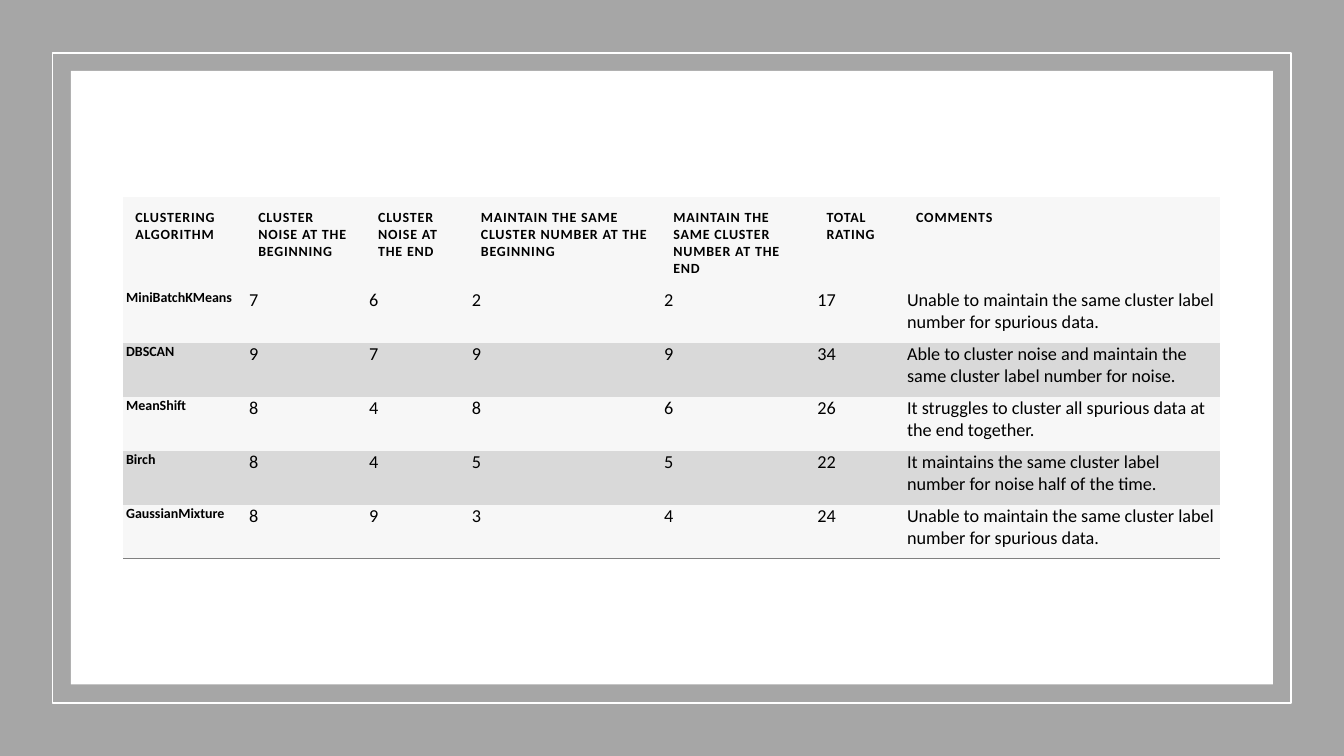
from lxml import etree
from pptx import Presentation
from pptx.dml.color import RGBColor
from pptx.enum.shapes import MSO_SHAPE
from pptx.oxml.ns import qn
from pptx.util import Cm, Pt

RECTANGLE = MSO_SHAPE.RECTANGLE
BLACK = RGBColor(0x00, 0x00, 0x00)
WHITE = RGBColor(0xFF, 0xFF, 0xFF)
BACKDROP_GRAY = RGBColor(0xA6, 0xA6, 0xA6)
LIGHT_ROW = RGBColor(0xF7, 0xF7, 0xF7)
DARK_ROW = RGBColor(0xD9, 0xD9, 0xD9)
RULE_GRAY = RGBColor(0x80, 0x80, 0x80)
PLAIN_TABLE_STYLE = "{2D5ABB26-0587-4C30-8999-92F81FD0307C}"

HEADER_MARGINS = {
    "margin_left": Cm(0.3), "margin_top": Cm(0.3),
    "margin_right": Cm(0.3), "margin_bottom": Cm(0.3),
}
BODY_MARGINS = {
    "margin_left": Cm(0.07), "margin_top": Cm(0),
    "margin_right": Cm(0.07), "margin_bottom": Cm(0.2),
}
LABEL_FONT = {"name": "Calibri", "size": Pt(10), "bold": True}
VALUE_FONT = {"name": "Calibri", "size": Pt(13), "bold": False}

COLUMN_WIDTHS = [3.1, 3.02, 2.59, 4.85, 3.86, 2.26, 7.95]
HEADER_HEIGHT = 2.31
BODY_HEIGHT = 1.36
RATINGS = [
    ["CLUSTERING ALGORITHM", "CLUSTER NOISE AT THE BEGINNING", "CLUSTER NOISE AT THE END",
     "MAINTAIN THE SAME CLUSTER NUMBER AT THE BEGINNING",
     "MAINTAIN THE SAME CLUSTER NUMBER AT THE END", "TOTAL RATING", "COMMENTS"],
    ["MiniBatchKMeans", "7", "6", "2", "2", "17",
     "Unable to maintain the same cluster label number for spurious data."],
    ["DBSCAN", "9", "7", "9", "9", "34",
     "Able to cluster noise and maintain the same cluster label number for noise."],
    ["MeanShift", "8", "4", "8", "6", "26",
     "It struggles to cluster all spurious data at the end together."],
    ["Birch", "8", "4", "5", "5", "22",
     "It maintains the same cluster label number for noise half of the time."],
    ["GaussianMixture", "8", "9", "3", "4", "24",
     "Unable to maintain the same cluster label number for spurious data."],
]


def set_values(target, values):
    for name, value in values.items():
        setattr(target, name, value)


def add_bottom_rule(cell):
    properties = cell._tc.get_or_add_tcPr()
    rule = etree.Element(qn("a:lnB"), w=str(Pt(1)))
    fill = etree.SubElement(rule, qn("a:solidFill"))
    etree.SubElement(fill, qn("a:srgbClr"), val=str(RULE_GRAY))
    properties.insert(0, rule)


deck = Presentation()
deck.slide_width = Cm(33.87)
deck.slide_height = Cm(19.05)
page = deck.slides.add_slide(deck.slide_layouts[6])

panels = [
    (0, 0, 33.87, 19.05, BACKDROP_GRAY, None),
    (1.32, 1.34, 31.22, 16.38, None, WHITE),
    (1.79, 1.79, 30.29, 15.46, WHITE, None),
]
for left, top, width, height, fill_color, line_color in panels:
    panel = page.shapes.add_shape(RECTANGLE, Cm(left), Cm(top), Cm(width), Cm(height))
    panel.shadow.inherit = False
    if fill_color is None:
        panel.fill.background()
    else:
        panel.fill.solid()
        panel.fill.fore_color.rgb = fill_color
    if line_color is None:
        panel.line.fill.background()
    else:
        panel.line.color.rgb = line_color
        panel.line.width = Pt(1)

last_row = len(RATINGS) - 1
table_height = HEADER_HEIGHT + last_row * BODY_HEIGHT
frame = page.shapes.add_table(
    len(RATINGS), len(COLUMN_WIDTHS),
    Cm(3.11), Cm(4.97), Cm(sum(COLUMN_WIDTHS)), Cm(table_height),
)
frame.element.find(".//" + qn("a:tableStyleId")).text = PLAIN_TABLE_STYLE
table = frame.table
table.horz_banding = False
for column, width in zip(table.columns, COLUMN_WIDTHS):
    column.width = Cm(width)

for row_index, texts in enumerate(RATINGS):
    is_header = row_index == 0
    table.rows[row_index].height = Cm(HEADER_HEIGHT if is_header else BODY_HEIGHT)
    row_fill = DARK_ROW if row_index in (2, 4) else LIGHT_ROW
    for column_index, text in enumerate(texts):
        cell = table.cell(row_index, column_index)
        set_values(cell, HEADER_MARGINS if is_header else BODY_MARGINS)
        cell.fill.solid()
        cell.fill.fore_color.rgb = row_fill
        span = cell.text_frame.paragraphs[0].add_run()
        span.text = text
        is_label = is_header or column_index == 0
        set_values(span.font, LABEL_FONT if is_label else VALUE_FONT)
        span.font.color.rgb = BLACK
        if is_header:
            span._r.get_or_add_rPr().set("spc", "60")
        if row_index == last_row:
            add_bottom_rule(cell)

deck.save("out.pptx")
